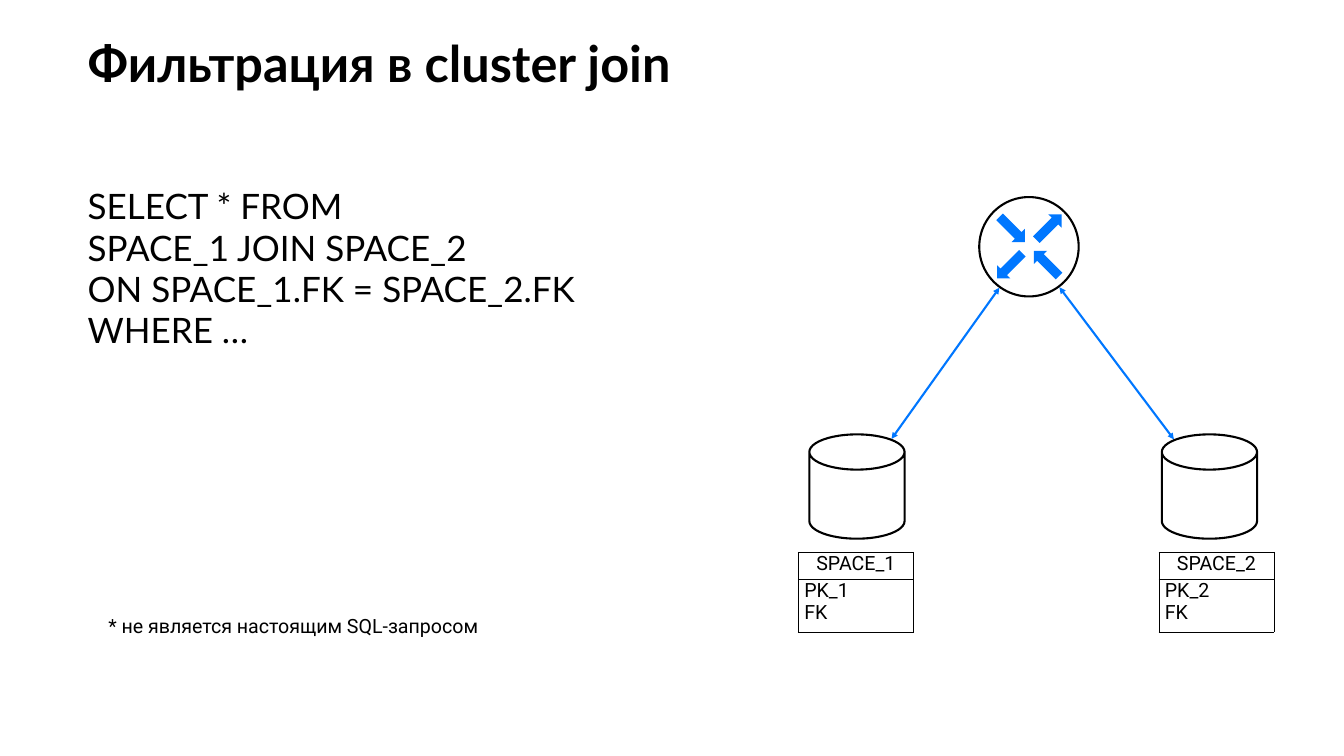
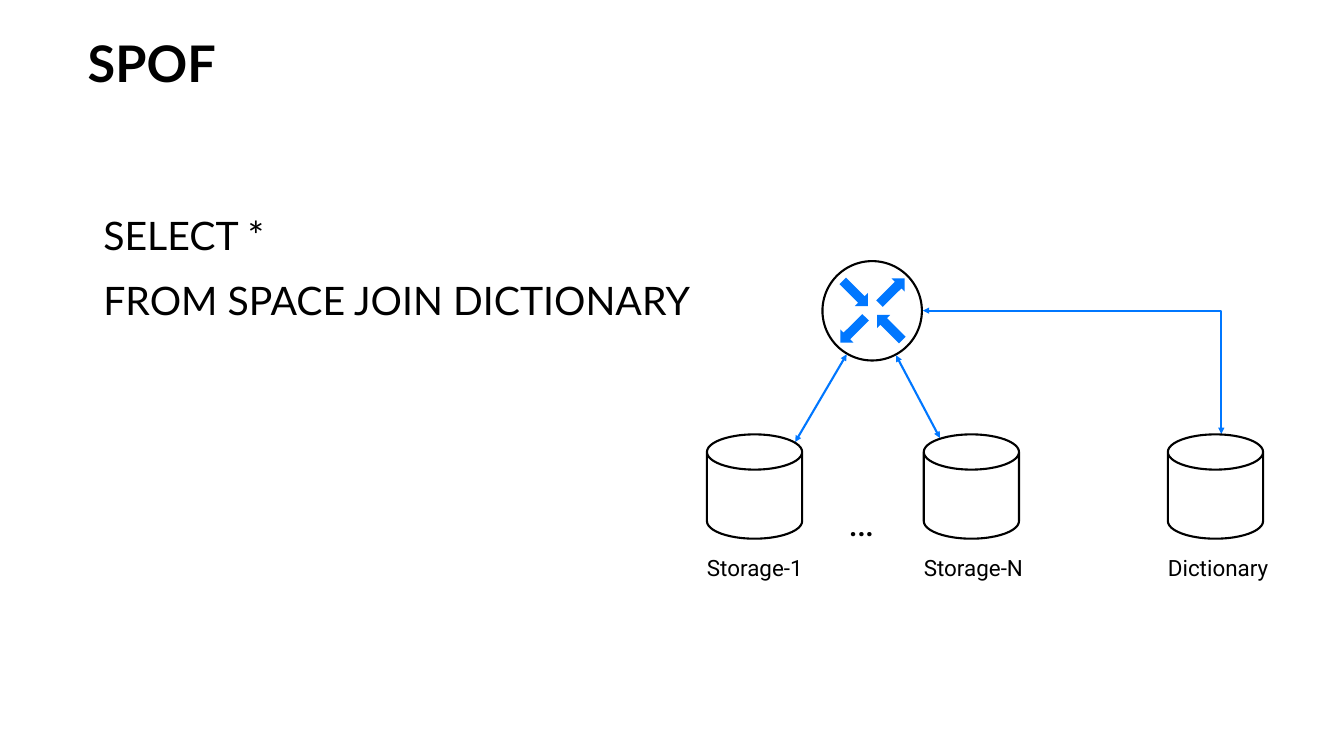
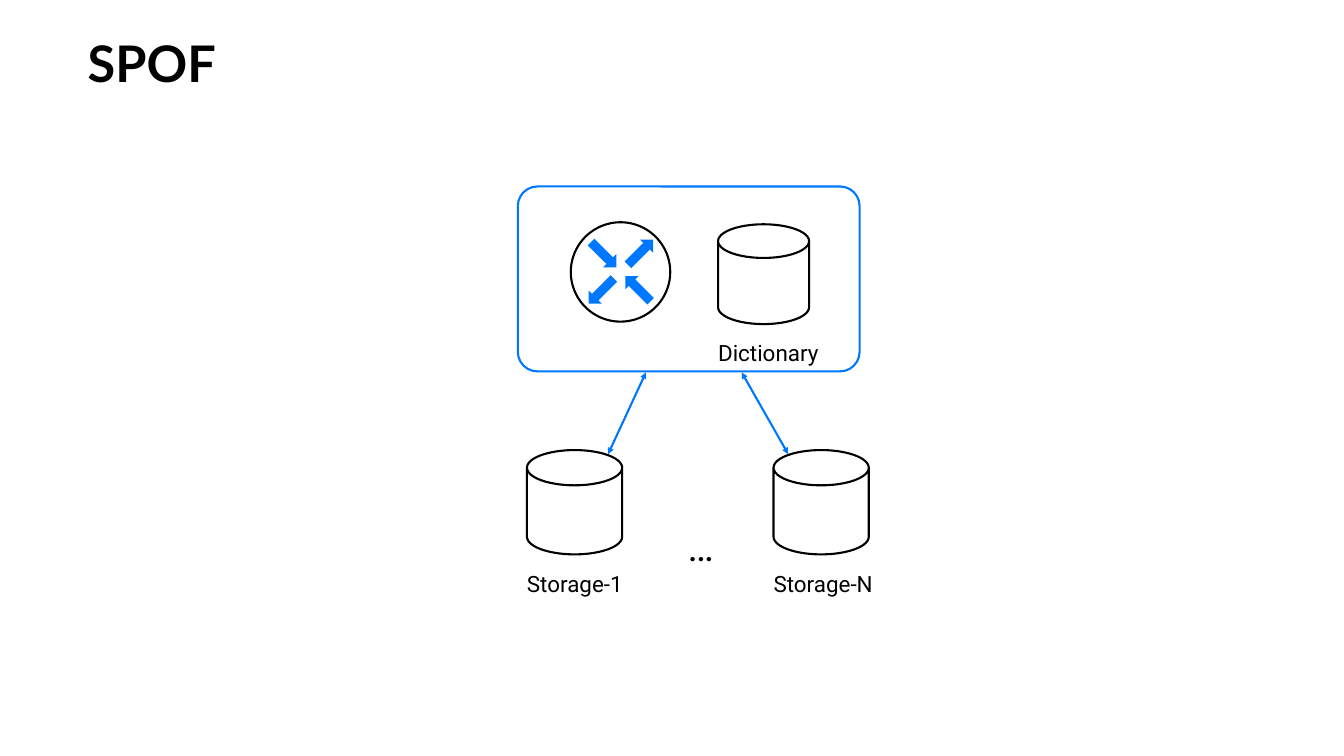
from lxml import etree
from pptx import Presentation
from pptx.dml.color import RGBColor
from pptx.enum.shapes import MSO_CONNECTOR, MSO_SHAPE
from pptx.enum.text import MSO_ANCHOR, PP_ALIGN
from pptx.oxml.ns import qn
from pptx.util import Pt

STRAIGHT = MSO_CONNECTOR.STRAIGHT
CAN, OVAL = MSO_SHAPE.CAN, MSO_SHAPE.OVAL
ARROW, ROUNDED = MSO_SHAPE.RIGHT_ARROW, MSO_SHAPE.ROUNDED_RECTANGLE
TOP = MSO_ANCHOR.TOP
LEFT, CENTER = PP_ALIGN.LEFT, PP_ALIGN.CENTER

COLORS = {"black": "000000", "white": "FFFFFF", "blue": "0077FF"}
HEAD_FONT, LABEL_FONT = "Lato", "Roboto"
LINE_WIDTH = 3
INDENT = 8.64
CAN_SIZE = (136, 149)
LABEL_GAP = 22
ROUTER_SIZE = 142
ROUTER_ARROWS = [(18, 85, 135), (70.5, 81.5, 225), (74, 29.5, 315), (21.5, 33, 45)]


def rgb(name):
    return RGBColor.from_string(COLORS[name])


def style(sp, fill=None, line=None):
    sp.shadow.inherit = False
    if fill:
        sp.fill.solid()
        sp.fill.fore_color.rgb = rgb(fill)
    else:
        sp.fill.background()
    if line:
        sp.line.color.rgb = rgb(line)
        sp.line.width = Pt(LINE_WIDTH)
    else:
        sp.line.fill.background()


def write(tf, lines, size, font, bold=False, indent=0, spacing=None, before=0, align=LEFT):
    for i, line in enumerate(lines):
        p = tf.paragraphs[0] if i == 0 else tf.add_paragraph()
        p.alignment = align
        if indent:
            pPr = p._p.get_or_add_pPr()
            pPr.set("marL", "0")
            pPr.set("indent", str(Pt(indent)))
        if spacing:
            p.line_spacing = spacing
        if before and i:
            p.space_before = Pt(before)
        r = p.add_run()
        r.text = line
        r.font.size = Pt(size)
        r.font.name = font
        r.font.bold = bold
        r.font.color.rgb = rgb("black")


def add_text(shapes, x, y, w, h, lines, size, font, inset=0, wrap=True, **options):
    tf = shapes.add_textbox(Pt(x), Pt(y), Pt(w), Pt(h)).text_frame
    tf.word_wrap = wrap
    tf.vertical_anchor = TOP
    tf.margin_left = tf.margin_right = tf.margin_top = tf.margin_bottom = Pt(inset)
    write(tf, lines, size, font, **options)


def add_slide(prs, title):
    s = prs.slides.add_slide(prs.slide_layouts[6])
    s.background.fill.solid()
    s.background.fill.fore_color.rgb = rgb("white")
    add_text(s.shapes, 125.3, 45.4, 1672, 114.5, [title], 72, HEAD_FONT, bold=True)
    return s


def add_router(s, x, y):
    shapes = s.shapes.add_group_shape().shapes
    circle = shapes.add_shape(OVAL, Pt(x), Pt(y), Pt(ROUTER_SIZE), Pt(ROUTER_SIZE))
    style(circle, "white", "black")
    for dx, dy, angle in ROUTER_ARROWS:
        arrow = shapes.add_shape(ARROW, Pt(x + dx), Pt(y + dy), Pt(51), Pt(26.6))
        arrow.rotation = angle
        style(arrow, "blue")


def add_storage(s, x, y, label=None, label_width=0, size=CAN_SIZE):
    w, h = size
    shapes = s.shapes.add_group_shape().shapes
    can = shapes.add_shape(CAN, Pt(x), Pt(y), Pt(w), Pt(h))
    can.adjustments[0] = 0.37
    style(can, "white", "black")
    if label:
        add_text(shapes, x, y + h + LABEL_GAP, label_width, 40, [label], 32,
                 LABEL_FONT, wrap=False)


def add_arrowheads(sp):
    ln = sp.line._get_or_add_ln()
    for tag in ("a:headEnd", "a:tailEnd"):
        etree.SubElement(ln, qn(tag)).set("type", "triangle")


def add_link(s, start, end):
    link = s.shapes.add_connector(STRAIGHT, *(Pt(v) for v in start + end))
    link.line.color.rgb = rgb("blue")
    link.line.width = Pt(LINE_WIDTH)
    add_arrowheads(link)
    etree.SubElement(link._element.spPr, qn("a:effectLst"))


def add_elbow(s, start, corner, end):
    start, corner, end = [(Pt(x), Pt(y)) for x, y in (start, corner, end)]
    builder = s.shapes.build_freeform(*start)
    builder.add_line_segments([corner, end], close=False)
    sp = builder.convert_to_shape()
    style(sp, line="blue")
    add_arrowheads(sp)


def set_borders(cell):
    tcPr = cell._tc.get_or_add_tcPr()
    for side in ("a:lnL", "a:lnR", "a:lnT", "a:lnB"):
        ln = etree.SubElement(tcPr, qn(side), w=str(Pt(1)))
        fill = etree.SubElement(ln, qn("a:solidFill"))
        etree.SubElement(fill, qn("a:srgbClr"), val=COLORS["black"])


def add_space_table(s, x, y, name, fields):
    heights = (38, 76)
    table = s.shapes.add_table(2, 1, Pt(x), Pt(y), Pt(164.5), Pt(sum(heights))).table
    table.first_row = table.horz_banding = False
    contents = [([name], {"align": CENTER}), (fields, {"indent": INDENT})]
    for i, (lines, options) in enumerate(contents):
        table.rows[i].height = Pt(heights[i])
        cell = table.cell(i, 0)
        cell.margin_left = cell.margin_right = cell.margin_top = cell.margin_bottom = 0
        cell.vertical_anchor = TOP
        set_borders(cell)
        cell.fill.solid()
        cell.fill.fore_color.rgb = rgb("white")
        write(cell.text_frame, lines, 28, LABEL_FONT, **options)


def add_ellipsis(s, x, y):
    add_text(s.shapes, x, y, 40.3, 84, ["…"], 56, LABEL_FONT, inset=7.2)


def build_filtering(prs):
    s = add_slide(prs, "Фильтрация в cluster join")
    query = ["SELECT * FROM", "SPACE_1 JOIN SPACE_2",
             "ON SPACE_1.FK = SPACE_2.FK", "WHERE …"]
    add_text(s.shapes, 125.3, 272, 1672, 578, query, 50, HEAD_FONT, spacing=0.88, before=6)
    for n, x in ((1, 1139.8), (2, 1654.6)):
        add_space_table(s, x, 789, f"SPACE_{n}", [f"PK_{n}", "FK"])
    add_link(s, (1427, 411), (1273, 627))
    add_link(s, (1512.7, 410.4), (1676.2, 627.8))
    add_router(s, 1398.2, 281.5)
    add_text(s.shapes, 139, 870.5, 945, 50, ["* не является настоящим SQL-запросом"], 28,
             LABEL_FONT, inset=7.2, indent=INDENT)
    for x in (1155.6, 1658.9):
        add_storage(s, x, 620.6)


def build_spof_separate(prs):
    s = add_slide(prs, "SPOF")
    add_router(s, 1174.3, 373)
    add_link(s, (1342, 625.7), (1279.4, 507.6))
    add_text(s.shapes, 131.8, 287.3, 862, 333, ["SELECT *", "FROM SPACE JOIN DICTIONARY"],
             56, HEAD_FONT, inset=7.2, indent=INDENT, spacing=1.1, before=20)
    add_link(s, (1135.4, 631.4), (1208.9, 506.2))
    add_elbow(s, (1743.8, 620), (1743.8, 443.8), (1317.6, 443.8))
    for x, label, width in ((1009.4, "Storage-1", 140.4), (1319, "Storage-N", 154),
                            (1667.5, "Dictionary", 152.6)):
        add_storage(s, x, 620.6, label, width)
    add_ellipsis(s, 1203.8, 702.7)


def build_spof_combined(prs):
    s = add_slide(prs, "SPOF")
    add_router(s, 815, 317.5)
    add_link(s, (1125.4, 648.7), (1059, 532))
    add_link(s, (868.3, 648.7), (922.3, 532))
    add_storage(s, 752.4, 643, "Storage-1", 140.4)
    add_storage(s, 1104.5, 643, "Storage-N", 154)
    add_storage(s, 1025.3, 320.4, "Dictionary", 152.6, size=(130, 142.6))
    node = s.shapes.add_shape(ROUNDED, Pt(739.4), Pt(266.4), Pt(488), Pt(264.2))
    node.adjustments[0] = 0.106
    style(node, line="blue")
    add_ellipsis(s, 974.9, 738.7)


def main():
    prs = Presentation()
    prs.slide_width, prs.slide_height = Pt(1919), Pt(1080)
    build_filtering(prs)
    build_spof_separate(prs)
    build_spof_combined(prs)
    prs.save("out.pptx")


if __name__ == "__main__":
    main()
